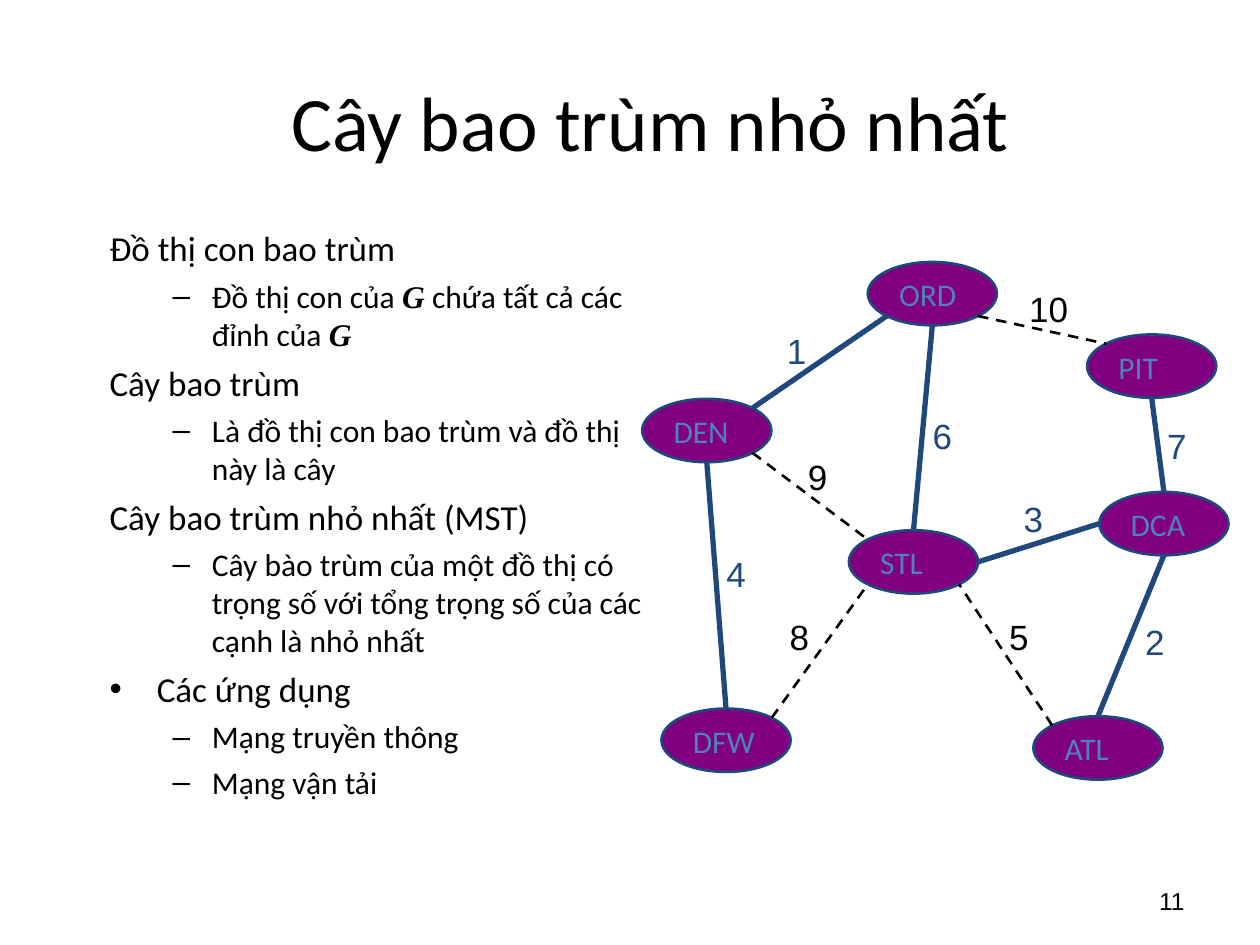
"""Build a slide on minimum spanning trees with a weighted airport graph."""
from dataclasses import dataclass
from math import sqrt

from lxml.etree import SubElement
from pptx import Presentation
from pptx.dml.color import RGBColor
from pptx.enum.dml import MSO_LINE_DASH_STYLE as Dash
from pptx.enum.shapes import MSO_CONNECTOR as Connector, MSO_SHAPE as Shape
from pptx.enum.text import MSO_ANCHOR as Anchor, MSO_AUTO_SIZE as AutoSize, PP_ALIGN as Align
from pptx.oxml.ns import qn
from pptx.slide import Slide
from pptx.util import Pt

BLACK, NAVY, BLUE, PURPLE = "000000", "1F497D", "4F81BD", "800080"
NODE_WIDTH, NODE_HEIGHT = 73.8, 36.2
DIAGONAL = 1 / sqrt(2)
SIDES = {
    "N": (0, -1), "S": (0, 1), "W": (-1, 0), "E": (1, 0),
    "NW": (-DIAGONAL, -DIAGONAL), "NE": (DIAGONAL, -DIAGONAL),
    "SW": (-DIAGONAL, DIAGONAL), "SE": (DIAGONAL, DIAGONAL),
}


@dataclass(frozen=True)
class Airport:
    code: str
    x: float
    y: float

    def side(self, name: str) -> tuple[float, float]:
        """Return the point on the ellipse that faces the named direction."""
        across, down = SIDES[name]
        return self.x + across * NODE_WIDTH / 2, self.y + down * NODE_HEIGHT / 2


@dataclass(frozen=True)
class Edge:
    start: str
    start_side: str
    end: str
    end_side: str
    weight: int
    label_left: float
    label_top: float
    in_tree: bool = True

    @property
    def color(self) -> str:
        """Return navy for tree edges and black for the others."""
        return NAVY if self.in_tree else BLACK


@dataclass(frozen=True)
class Item:
    level: int
    spans: tuple[str, ...]
    bulleted: bool = True


AIRPORTS = [
    Airport("ORD", 532.8, 167.8),
    Airport("PIT", 658.1, 209.2),
    Airport("ATL", 627.4, 427.4),
    Airport("STL", 522, 321.1),
    Airport("DEN", 403.9, 246),
    Airport("DFW", 414.9, 423),
    Airport("DCA", 665.1, 299.2),
]
EDGES = [
    Edge("DEN", "NE", "ORD", "SW", 1, 442.6, 185),
    Edge("STL", "N", "ORD", "S", 6, 525.8, 233.6),
    Edge("STL", "E", "DCA", "W", 3, 577.9, 280.8),
    Edge("DCA", "N", "PIT", "S", 7, 659.8, 239),
    Edge("ORD", "SE", "PIT", "NW", 10, 581, 160.6, False),
    Edge("DEN", "S", "DFW", "N", 4, 408, 312),
    Edge("DCA", "S", "ATL", "N", 2, 647.3, 351.2),
    Edge("ATL", "NW", "STL", "SE", 5, 569.5, 348, False),
    Edge("DFW", "NE", "STL", "SW", 8, 444.2, 348, False),
    Edge("DEN", "SE", "STL", "NW", 9, 454.6, 257, False),
]
ITEMS = [
    Item(0, ("Đồ thị con bao trùm",), False),
    Item(1, ("Đồ thị con của ", "G", " chứa tất cả các đỉnh của ", "G")),
    Item(0, ("Cây bao trùm",), False),
    Item(1, ("Là đồ thị con bao trùm và đồ thị này là cây",)),
    Item(0, ("Cây bao trùm nhỏ nhất (MST)",), False),
    Item(1, ("Cây bào trùm của một đồ thị có trọng số với tổng trọng số của các "
             "cạnh là nhỏ nhất",)),
    Item(0, ("Các ứng dụng",)),
    Item(1, ("Mạng truyền thông",)),
    Item(1, ("Mạng vận tải",)),
]


def rgb(color: str) -> RGBColor:
    """Turn a hex string into a colour."""
    return RGBColor.from_string(color)


def style(span, size: float, color: str = BLACK, name: str = "Calibri") -> None:
    """Set the font of a run."""
    span.font.size, span.font.name = Pt(size), name
    span.font.color.rgb = rgb(color)


def place(shape, left: float, top: float, width: float, height: float) -> None:
    """Move and size a shape."""
    shape.left, shape.top, shape.width, shape.height = map(Pt, (left, top, width, height))


def fill_title(page: Slide, text: str) -> None:
    """Fill the title placeholder."""
    title = page.shapes.title
    place(title, 48, 23.8, 647.3, 90)
    title.text_frame.text = text
    style(title.text_frame.paragraphs[0].runs[0], 44)


def fill_body(page: Slide, items: list[Item]) -> None:
    """Fill the body placeholder with the two-level list."""
    body = page.placeholders[1]
    place(body, 55.4, 126, 321.8, 372.2)
    frame = body.text_frame
    frame.auto_size = AutoSize.NONE
    for index, item in enumerate(items):
        para = frame.add_paragraph() if index else frame.paragraphs[0]
        size = 18 if item.level else 20
        para.level, para.space_before = item.level, Pt(size / 4)
        if not item.bulleted:
            SubElement(para._p.get_or_add_pPr(), qn("a:buNone"))
        for text in item.spans:
            span = para.add_run()
            span.text = text
            is_symbol = text == "G"
            style(span, size, name="Times New Roman" if is_symbol else "Calibri")
            span.font.bold = span.font.italic = is_symbol


def draw_text(page: Slide, text: str, left: float, top: float, width: float, height: float,
              size: float, color: str):
    """Draw an Arial text box and return it."""
    box = page.shapes.add_textbox(*map(Pt, (left, top, width, height)))
    box.text_frame.text = text
    style(box.text_frame.paragraphs[0].runs[0], size, color, "Arial")
    return box


def draw_airport(page: Slide, airport: Airport) -> None:
    """Draw one node of the graph."""
    left, top = airport.x - NODE_WIDTH / 2, airport.y - NODE_HEIGHT / 2
    node = page.shapes.add_shape(Shape.OVAL, *map(Pt, (left, top, NODE_WIDTH, NODE_HEIGHT)))
    node.shadow.inherit = False
    node.fill.solid()
    node.fill.fore_color.rgb = rgb(PURPLE)
    node.line.color.rgb, node.line.width = rgb(NAVY), Pt(1.5)
    frame = node.text_frame
    frame.text = airport.code
    frame.vertical_anchor = Anchor.TOP
    frame.margin_top = Pt(2.2)
    frame.paragraphs[0].alignment = Align.LEFT
    style(frame.paragraphs[0].runs[0], 18, BLUE)


def draw_edge(page: Slide, edge: Edge, airports: dict[str, Airport]) -> None:
    """Draw one edge, dashed when it is outside the tree."""
    start = airports[edge.start].side(edge.start_side)
    end = airports[edge.end].side(edge.end_side)
    link = page.shapes.add_connector(Connector.STRAIGHT, *map(Pt, start + end))
    SubElement(link._element.spPr, qn("a:effectLst"))
    link.line.color.rgb = rgb(edge.color)
    link.line.width = Pt(3 if edge.in_tree else 1.5)
    if not edge.in_tree:
        link.line.dash_style = Dash.DASH


def draw_weight(page: Slide, edge: Edge) -> None:
    """Draw the weight beside an edge."""
    width = 36.7 if edge.weight > 9 else 25.2
    box = draw_text(page, str(edge.weight), edge.label_left, edge.label_top, width, 31.7,
                    20, edge.color)
    box.text_frame.word_wrap = False
    box.text_frame.auto_size = AutoSize.SHAPE_TO_FIT_TEXT


def main() -> None:
    """Build and save the deck."""
    deck = Presentation()
    deck.slide_width, deck.slide_height = Pt(720), Pt(540)
    page = deck.slides.add_slide(deck.slide_layouts[1])
    fill_title(page, "Cây bao trùm nhỏ nhất")
    fill_body(page, ITEMS)
    for airport in AIRPORTS:
        draw_airport(page, airport)
    airports = {airport.code: airport for airport in AIRPORTS}
    for edge in EDGES:
        draw_edge(page, edge, airports)
    for edge in EDGES:
        draw_weight(page, edge)
    number = draw_text(page, "11", 516.2, 500.4, 167.8, 28.8, 14, BLACK)
    number.text_frame.word_wrap = True
    number.text_frame.vertical_anchor = Anchor.MIDDLE
    number.text_frame.paragraphs[0].alignment = Align.RIGHT
    deck.save("out.pptx")


if __name__ == "__main__":
    main()
